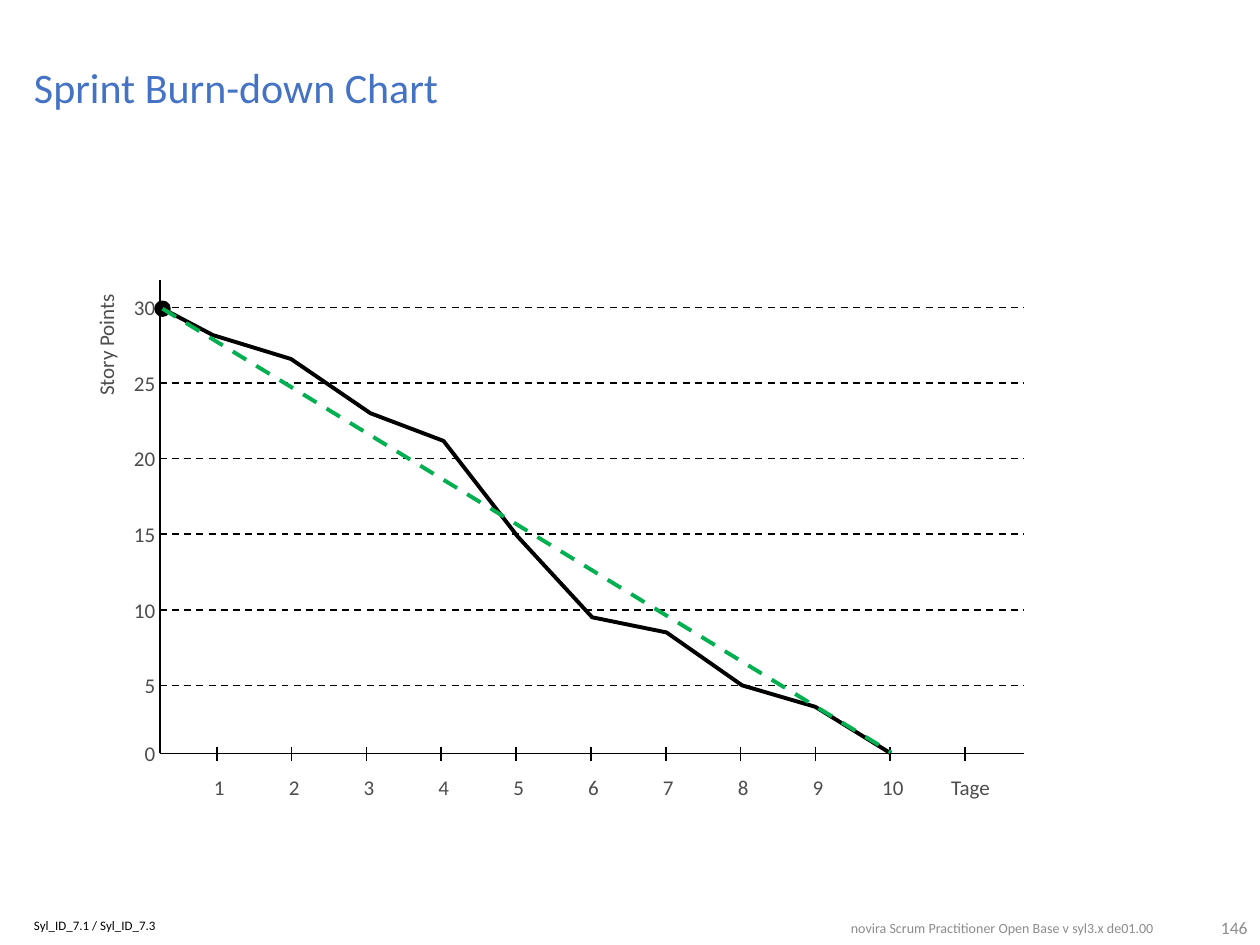
from pptx import Presentation
from pptx.dml.color import RGBColor
from pptx.enum.dml import MSO_LINE
from pptx.enum.shapes import MSO_CONNECTOR, MSO_SHAPE
from pptx.enum.text import MSO_ANCHOR, PP_ALIGN as Align
from pptx.oxml.ns import qn
from pptx.util import Inches, Pt
from lxml import etree

BLACK = RGBColor(0x00, 0x00, 0x00)
DARK_GRAY = RGBColor(0x4D, 0x4D, 0x4D)
FOOTER_GRAY = RGBColor(0x8C, 0x8C, 0x8C)
BLUE = RGBColor(0x44, 0x72, 0xC4)
GREEN = RGBColor(0x00, 0xB0, 0x50)

deck = Presentation()
deck.slide_width = Inches(10)
deck.slide_height = Inches(7.5)
page = deck.slides.add_slide(deck.slide_layouts[6])


def add_text(text, left, top, width, height, size=12, color=DARK_GRAY,
             align=Align.LEFT, insets=(0.1, 0.05, 0.1, 0.05)):
    box = page.shapes.add_textbox(Inches(left), Inches(top), Inches(width), Inches(height))
    frame = box.text_frame
    frame.word_wrap = True
    frame.margin_left, frame.margin_top, frame.margin_right, frame.margin_bottom = map(Inches, insets)
    para = frame.paragraphs[0]
    para.text = text
    para.alignment = align
    para.font.name = "Calibri"
    para.font.size = Pt(size)
    para.font.color.rgb = color
    return box


def add_line(x1, y1, x2, y2, color=BLACK, width=1, dashed=False):
    line = page.shapes.add_connector(
        MSO_CONNECTOR.STRAIGHT, Inches(x1), Inches(y1), Inches(x2), Inches(y2))
    line.line.color.rgb = color
    line.line.width = Pt(width)
    if dashed:
        line.line.dash_style = MSO_LINE.DASH
    etree.SubElement(line._element.spPr, qn("a:effectLst"))


# Footer
NO_INSETS = (0, 0, 0, 0)
add_text("novira Scrum Practitioner Open Base v syl3.x de01.00", 5.83, 7.3, 3.33, 0.16,
         8, FOOTER_GRAY, Align.RIGHT, NO_INSETS)
add_text("146", 9.25, 7.28, 0.65, 0.2, 10, FOOTER_GRAY, Align.RIGHT, NO_INSETS)
syllabus = add_text("Syl_ID_7.1 / Syl_ID_7.3", 0.27, 7.3, 3.96, 0.16, 7.4, BLACK,
                    insets=(0, 0, 0.1, 0.05))
syllabus.text_frame.paragraphs[0].line_spacing = 0.9

# Title
title = add_text("Sprint Burn-down Chart", 0.27, 0.45, 9.46, 0.53, 24, BLUE,
                 insets=(0, 0.05, 0.1, 0.05))
title.text_frame.vertical_anchor = MSO_ANCHOR.MIDDLE
title.text_frame.paragraphs[0].line_spacing = 0.9

# Story point grid with labels
AXIS_LEFT, AXIS_RIGHT, AXIS_BOTTOM = 1.27, 8.13, 5.98
GRID_TOP, GRID_STEP = 2.44, 0.6
for row, points in enumerate(range(30, -1, -5)):
    y = GRID_TOP + row * GRID_STEP if points else AXIS_BOTTOM
    add_line(AXIS_LEFT, y, AXIS_RIGHT, y, dashed=True)
    add_text(str(points), 0.72, y - 0.15, 0.61, 0.3, align=Align.RIGHT)

# Axes
add_line(AXIS_LEFT, AXIS_BOTTOM, AXIS_LEFT, 2.22)
add_line(AXIS_LEFT, AXIS_BOTTOM, AXIS_RIGHT, AXIS_BOTTOM)
axis_title = add_text("Story Points", 0.26, 2.51, 1.16, 0.3)
axis_title.rotation = 270

# Day ticks with labels
FIRST_TICK, LAST_TICK = 1.72, 7.66
for day in range(1, 12):
    x = FIRST_TICK + (day - 1) * (LAST_TICK - FIRST_TICK) / 10
    add_line(x, 5.93, x, 6.04)
    if day <= 10:
        add_text(str(day), x - 0.22, 6.1, 0.48, 0.3, align=Align.CENTER)
add_text("Tage", 7.45, 6.1, 0.76, 0.3)

# Starting point
start = page.shapes.add_shape(
    MSO_SHAPE.OVAL, Inches(1.23), Inches(2.39), Inches(0.12), Inches(0.12))
start.shadow.inherit = False
start.fill.solid()
start.fill.fore_color.rgb = BLACK
start.line.color.rgb = BLACK
start.line.width = Pt(0.75)

# Actual burn-down
actual = [(1.29, 2.45), (1.69, 2.66), (2.31, 2.85), (2.94, 3.28), (3.52, 3.5), (4.11, 4.26),
          (4.7, 4.9), (5.29, 5.02), (5.89, 5.44), (6.47, 5.61), (7.07, 5.98)]
vertices = [(Inches(x), Inches(y)) for x, y in actual]
builder = page.shapes.build_freeform(*vertices[0])
builder.add_line_segments(vertices[1:], close=False)
burn_down = builder.convert_to_shape()
burn_down.shadow.inherit = False
burn_down.fill.background()
burn_down.line.color.rgb = BLACK
burn_down.line.width = Pt(2.25)

# Ideal burn-down
add_line(1.29, 2.45, 7.07, 5.97, GREEN, 2.25, dashed=True)

deck.save("out.pptx")
